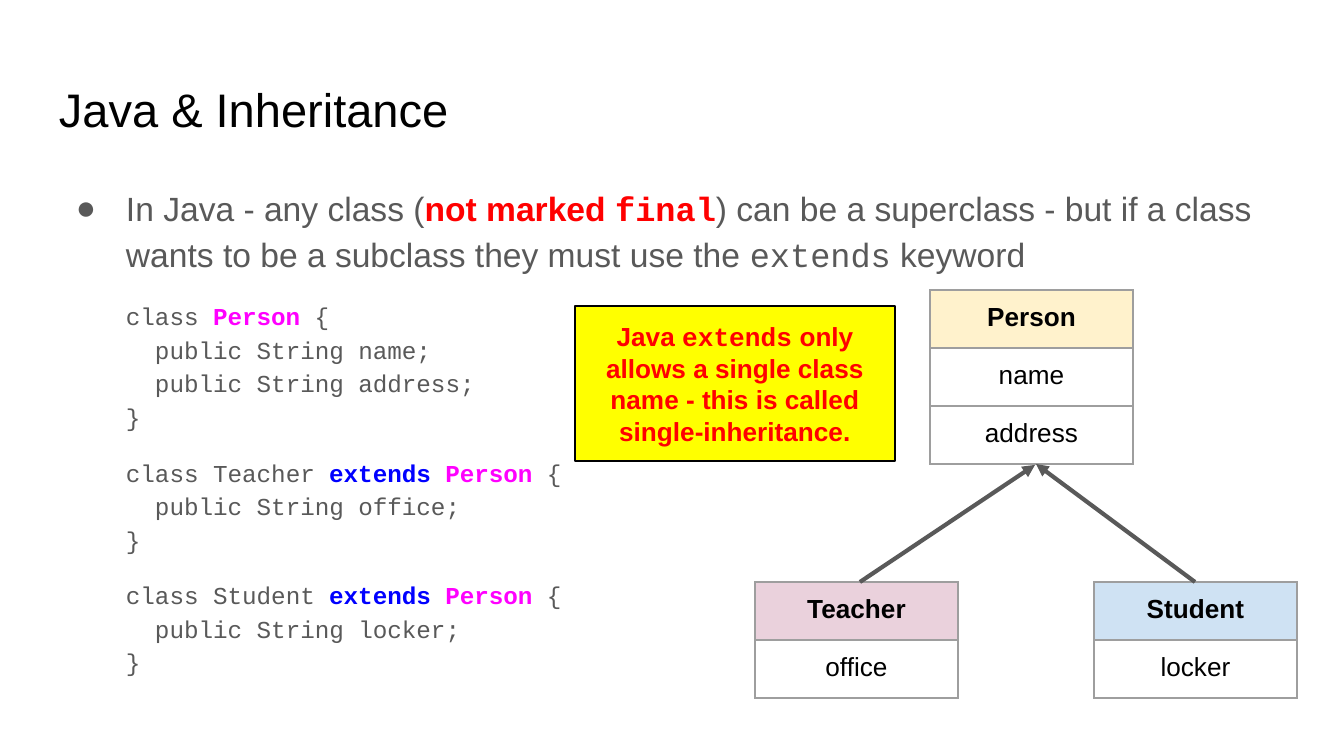
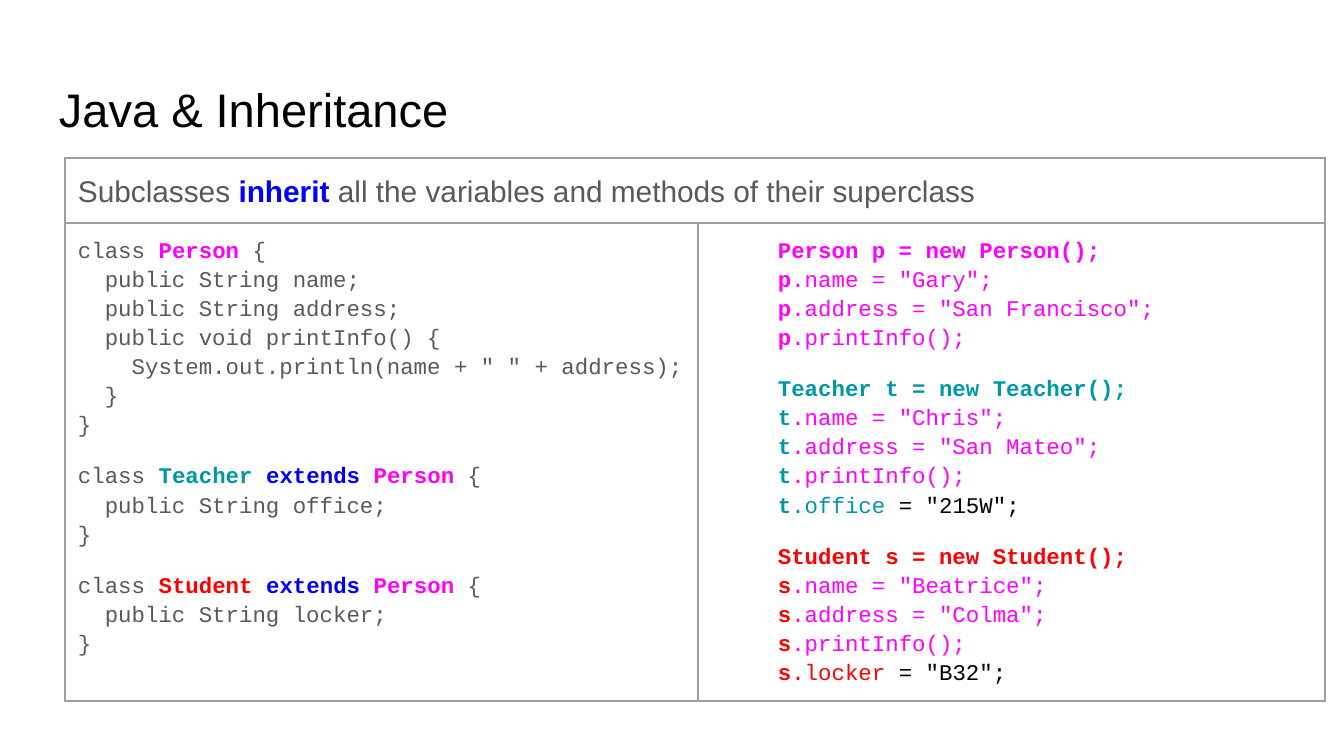
"""Builds two slides on Java inheritance: class diagram and inherited members."""
import dataclasses

import lxml.etree
import pptx
import pptx.dml.color
import pptx.enum.shapes
import pptx.enum.text
import pptx.oxml
import pptx.oxml.ns
import pptx.util


@dataclasses.dataclass(frozen=True)
class Theme:
    sans: str = "Arial"
    mono: str = "Courier New"
    title_size: float = 25.2
    bullet_size: int = 18
    summary_size: int = 16
    label_size: int = 14
    outline_code_size: int = 13
    table_code_size: int = 12
    paragraph_gap: int = 12
    code_spacing: float = 1.15
    hairline: float = 0.75
    arrow_width: float = 2.25
    colours: dict = dataclasses.field(default_factory=lambda: {
        "black": "000000", "grey": "595959", "border": "9E9E9E",
        "red": "FF0000", "blue": "0000FF", "magenta": "FF00FF",
        "teal": "0097A7", "yellow": "FFFF00", "cream": "FFF2CC",
        "sky": "CFE2F3", "rose": "EAD1DC"})


THEME = Theme()
SCALE = 9144000 / 1344
SLIDE_SIZE = (1344, 756)
INSET = 13
INDENT = 67
HANGING = 50

TITLE = "Java & Inheritance"
TITLE_BOX = (46, 66, 1253, 85)
BODY_BOX = (46, 169, 1253, 563)

BULLET = [
    ("In Java - any class (",), ("not marked ", "red", "bold"),
    ("final", "red", "bold", "mono"),
    (") can be a superclass - but if a class wants to be a subclass they must use the ",),
    ("extends", "mono"), (" keyword",)]
CALLOUT = [
    ("Java ", "red", "bold"), ("extends", "red", "bold", "mono"),
    (" only allows a single class name - this is called single-inheritance.", "red", "bold")]
CALLOUT_BOX = (575, 306, 320, 155)

CLASS_TABLES = [
    ("Person", ["name", "address"], "cream", (930, 290)),
    ("Student", ["locker"], "sky", (1094, 582)),
    ("Teacher", ["office"], "rose", (755, 582))]
CLASS_WIDTH, CLASS_ROW = 203, 58
ARROWS = [((860, 582), (1035, 465)), ((1195, 582), (1036, 464))]

SUMMARY = [
    ("Subclasses ",), ("inherit ", "blue", "bold"),
    ("all the variables and methods of their superclass",)]
SUMMARY_ORIGIN = (65, 158)
SUMMARY_COLUMNS = [633, 627]
SUMMARY_ROWS = [65, 478]

FIELDS = ["  public String name;", "  public String address;"]
PRINT_INFO = [
    "  public void printInfo() {",
    '    System.out.println(name + " " + address);',
    "  }"]
SUBCLASSES = [("Teacher", "office", "teal"), ("Student", "locker", "red")]
OBJECTS = [
    ("Person", "p", "magenta", "Gary", "San Francisco", None),
    ("Teacher", "t", "teal", "Chris", "San Mateo", ("office", "215W")),
    ("Student", "s", "red", "Beatrice", "Colma", ("locker", "B32"))]


def class_code(methods, coloured):
    """Lists the runs of each class declaration."""
    person = ("Person", "magenta", "bold")
    blocks = [[("class ",), person, ("\n".join([" {", *FIELDS, *methods, "}"]),)]]
    for name, field, colour in SUBCLASSES:
        marks = (colour, "bold") if coloured else ()
        blocks.append([
            ("class ",), (name + " ", *marks), ("extends ", "blue", "bold"), person,
            (f" {{\n  public String {field};\n}}",)])
    return blocks


def object_code():
    """Lists the runs of each block that creates and uses an object."""
    blocks = []
    for kind, variable, colour, name, address, own in OBJECTS:
        runs = [(f"{kind} {variable} = new {kind}();", colour, "bold")]
        for member in (f'.name = "{name}";', f'.address = "{address}";', ".printInfo();"):
            runs += [("\n" + variable, colour, "bold"), (member, "magenta")]
        if own:
            runs += [("\n" + variable, colour, "bold"), ("." + own[0], colour),
                     (f' = "{own[1]}";', "black")]
        blocks.append(runs)
    return blocks


def px(value):
    return pptx.util.Emu(round(value * SCALE))


def box(lengths):
    return [px(value) for value in lengths]


def rgb(name):
    return pptx.dml.color.RGBColor.from_string(THEME.colours[name])


def set_insets(holder):
    for side in ("left", "top", "right", "bottom"):
        setattr(holder, "margin_" + side, px(INSET))


def add_runs(paragraph, runs, size, code=False, base="grey"):
    """Writes styled runs, with line breaks of the same size."""
    for text, *marks in runs:
        for index, line in enumerate(text.split("\n")):
            if index:
                paragraph.add_line_break()
                line_break = paragraph._p[-1]
                properties = lxml.etree.SubElement(line_break, pptx.oxml.ns.qn("a:rPr"))
                properties.set("sz", str(round(size * 100)))
            if not line:
                continue
            run = paragraph.add_run()
            run.text = line
            colour = next((mark for mark in marks if mark in THEME.colours), base)
            run.font.name = THEME.mono if code or "mono" in marks else THEME.sans
            run.font.size = pptx.util.Pt(size)
            run.font.bold = "bold" in marks
            run.font.color.rgb = rgb(colour)


def set_indent(paragraph, left, first=0, bullet=None):
    """Sets the indent and the bullet of a paragraph."""
    properties = paragraph._p.get_or_add_pPr()
    properties.set("marL", str(px(left)))
    properties.set("indent", str(px(first)))
    if not bullet:
        lxml.etree.SubElement(properties, pptx.oxml.ns.qn("a:buNone"))
        return
    colour = lxml.etree.SubElement(properties, pptx.oxml.ns.qn("a:buClr"))
    lxml.etree.SubElement(colour, pptx.oxml.ns.qn("a:srgbClr")).set("val", THEME.colours["grey"])
    lxml.etree.SubElement(properties, pptx.oxml.ns.qn("a:buFont")).set("typeface", THEME.sans)
    lxml.etree.SubElement(properties, pptx.oxml.ns.qn("a:buChar")).set("char", bullet)


def space(paragraph, before=0, after=0):
    paragraph.line_spacing = THEME.code_spacing
    paragraph.space_before = pptx.util.Pt(before)
    paragraph.space_after = pptx.util.Pt(after)


def add_code(frame, blocks, size, indent):
    """Writes one paragraph for each block of code, after any text already there."""
    for index, runs in enumerate(blocks):
        first = index == 0 and not frame.text
        paragraph = frame.paragraphs[0] if first else frame.add_paragraph()
        set_indent(paragraph, indent)
        space(paragraph, 0 if first else THEME.paragraph_gap,
              THEME.paragraph_gap if index == len(blocks) - 1 else 0)
        add_runs(paragraph, runs, size, code=True)


def place(shape, lengths):
    shape.left, shape.top, shape.width, shape.height = box(lengths)
    frame = shape.text_frame
    frame.word_wrap = True
    frame.auto_size = pptx.enum.text.MSO_AUTO_SIZE.NONE
    set_insets(frame)
    return frame


def add_slide(presentation, layout_index):
    """Adds a slide with the shared title."""
    slide = presentation.slides.add_slide(presentation.slide_layouts[layout_index])
    frame = place(slide.shapes.title, TITLE_BOX)
    frame.vertical_anchor = pptx.enum.text.MSO_ANCHOR.MIDDLE
    paragraph = frame.paragraphs[0]
    paragraph.alignment = pptx.enum.text.PP_ALIGN.LEFT
    add_runs(paragraph, [(TITLE,)], THEME.title_size, base="black")
    return slide


def add_table(slide, origin, columns, rows):
    """Adds a plain table with thin borders and no fill."""
    lengths = (*origin, sum(columns), sum(rows))
    table = slide.shapes.add_table(len(rows), len(columns), *box(lengths)).table
    table.first_row = table.horz_banding = False
    for column, width in zip(table.columns, columns):
        column.width = px(width)
    for row, height in zip(table.rows, rows):
        row.height = px(height)
    for cell in table.iter_cells():
        set_insets(cell)
        cell.vertical_anchor = pptx.enum.text.MSO_ANCHOR.TOP
        cell.fill.background()
        properties = cell._tc.get_or_add_tcPr()
        for index, side in enumerate("LRTB"):
            properties.insert(index, pptx.oxml.parse_xml(
                f'<a:ln{side} {pptx.oxml.ns.nsdecls("a")} w="{pptx.util.Pt(THEME.hairline)}">'
                f'<a:solidFill><a:srgbClr val="{THEME.colours["border"]}"/></a:solidFill>'
                f'</a:ln{side}>'))
    return table


def add_class_table(slide, name, fields, fill, origin):
    table = add_table(slide, origin, [CLASS_WIDTH], [CLASS_ROW] * (len(fields) + 1))
    rows = [(name, "bold")] + [(field,) for field in fields]
    for cell, run in zip(table.iter_cells(), rows):
        paragraph = cell.text_frame.paragraphs[0]
        paragraph.alignment = pptx.enum.text.PP_ALIGN.CENTER
        add_runs(paragraph, [run], THEME.label_size, base="black")
    header = table.cell(0, 0)
    header.fill.solid()
    header.fill.fore_color.rgb = rgb(fill)


def add_arrow(slide, start, end):
    connector = slide.shapes.add_connector(
        pptx.enum.shapes.MSO_CONNECTOR.STRAIGHT, *box(start + end))
    connector.line.color.rgb = rgb("grey")
    connector.line.width = pptx.util.Pt(THEME.arrow_width)
    outline = connector.line._get_or_add_ln()
    lxml.etree.SubElement(outline, pptx.oxml.ns.qn("a:tailEnd")).set("type", "triangle")
    lxml.etree.SubElement(connector._element.spPr, pptx.oxml.ns.qn("a:effectLst"))


def add_callout(slide):
    shape = slide.shapes.add_shape(pptx.enum.shapes.MSO_SHAPE.RECTANGLE, *box(CALLOUT_BOX))
    shape.shadow.inherit = False
    shape.fill.solid()
    shape.fill.fore_color.rgb = rgb("yellow")
    shape.line.color.rgb = rgb("black")
    shape.line.width = pptx.util.Pt(THEME.hairline)
    frame = place(shape, CALLOUT_BOX)
    frame.vertical_anchor = pptx.enum.text.MSO_ANCHOR.MIDDLE
    frame.paragraphs[0].alignment = pptx.enum.text.PP_ALIGN.CENTER
    add_runs(frame.paragraphs[0], CALLOUT, THEME.label_size)


def build_extends_slide(presentation):
    slide = add_slide(presentation, 1)
    frame = place(slide.placeholders[1], BODY_BOX)
    bullet = frame.paragraphs[0]
    set_indent(bullet, INDENT, -HANGING, "●")
    space(bullet)
    add_runs(bullet, BULLET, THEME.bullet_size)
    add_code(frame, class_code([], False), THEME.outline_code_size, INDENT)
    for class_table in CLASS_TABLES:
        add_class_table(slide, *class_table)
    for start, end in ARROWS:
        add_arrow(slide, start, end)
    add_callout(slide)


def build_inherit_slide(presentation):
    slide = add_slide(presentation, 5)
    table = add_table(slide, SUMMARY_ORIGIN, SUMMARY_COLUMNS, SUMMARY_ROWS)
    table.cell(0, 0).merge(table.cell(0, 1))
    summary = table.cell(0, 0).text_frame.paragraphs[0]
    space(summary, after=THEME.paragraph_gap)
    add_runs(summary, SUMMARY, THEME.summary_size)
    columns = [(class_code(PRINT_INFO, True), 0), (object_code(), INDENT)]
    for index, (blocks, indent) in enumerate(columns):
        add_code(table.cell(1, index).text_frame, blocks, THEME.table_code_size, indent)


def main():
    presentation = pptx.Presentation()
    presentation.slide_width, presentation.slide_height = box(SLIDE_SIZE)
    build_extends_slide(presentation)
    build_inherit_slide(presentation)
    presentation.save("out.pptx")


if __name__ == "__main__":
    main()
